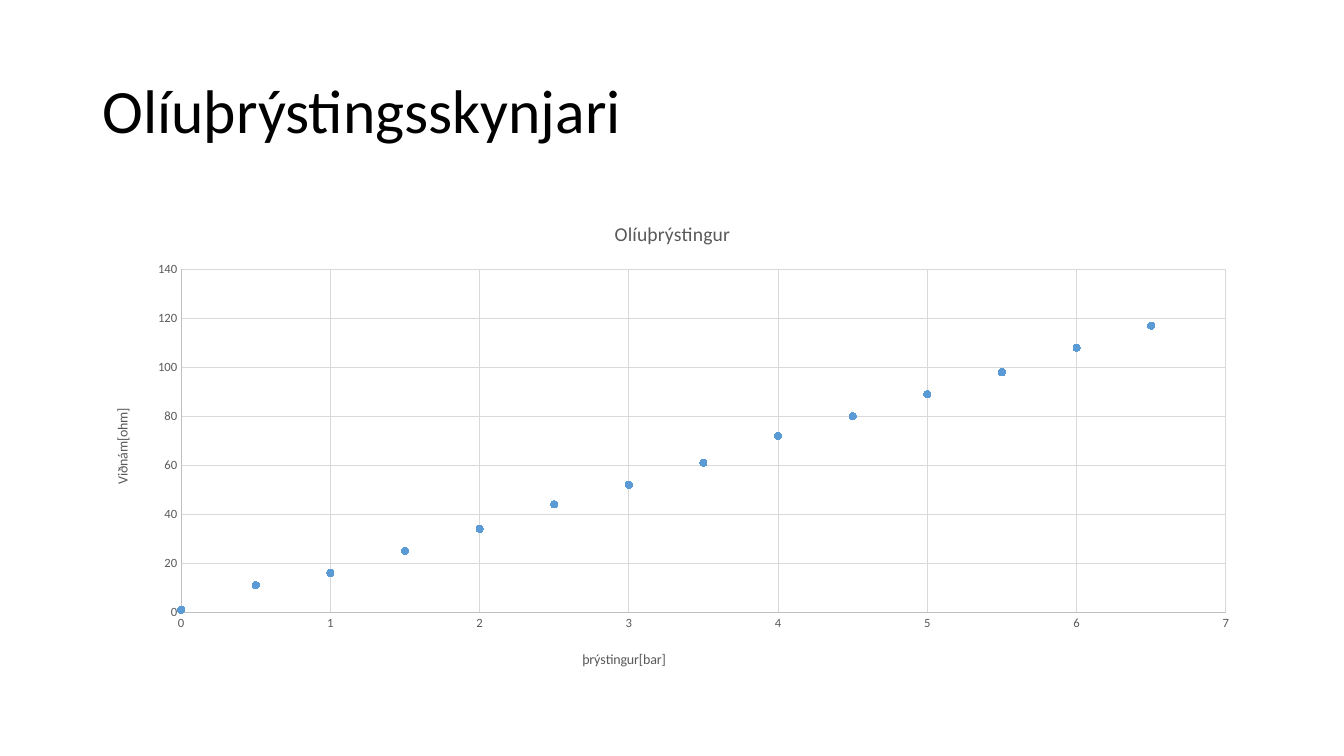
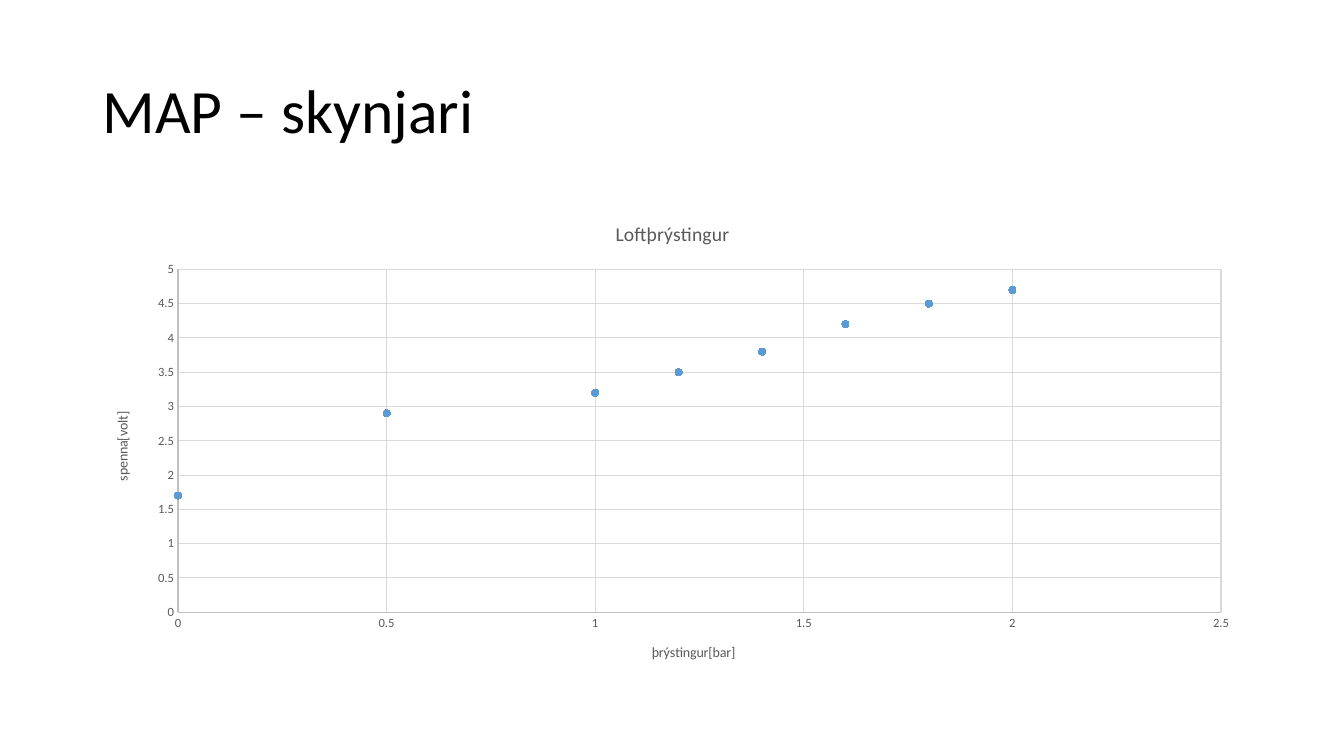
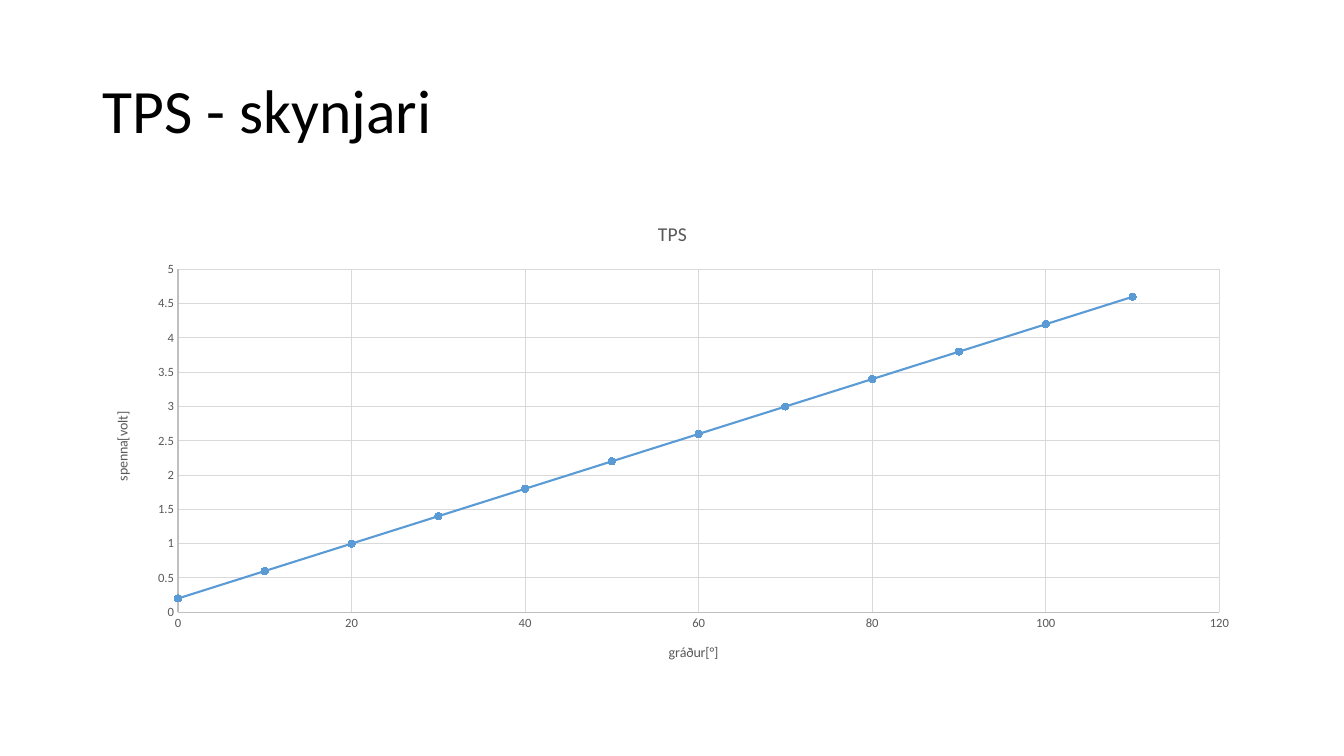
"""Build three slides of sensor readings, each a title over a scatter chart."""
import pptx
import pptx.chart.data
import pptx.dml.color
import pptx.enum.chart
import pptx.enum.text
import pptx.oxml
import pptx.oxml.ns
import pptx.util
from pptx.util import Inches

BLACK = pptx.dml.color.RGBColor(0x00, 0x00, 0x00)
GREY = pptx.dml.color.RGBColor(0x59, 0x59, 0x59)
EDGE = pptx.dml.color.RGBColor(0xBF, 0xBF, 0xBF)
GRID = pptx.dml.color.RGBColor(0xD9, 0xD9, 0xD9)
BLUE = pptx.dml.color.RGBColor(0x5B, 0x9B, 0xD5)
FACE = "Calibri"
LEFT, WIDE = Inches(0.92), Inches(11.5)
KIND = pptx.enum.chart.XL_CHART_TYPE


class Deck:
    def __init__(self):
        self.file = pptx.Presentation()
        self.file.slide_width = Inches(13.33)
        self.file.slide_height = Inches(7.5)
        self.slide = None

    def font(self, font, size, color):
        font.name = FACE
        font.size = pptx.util.Pt(size)
        font.bold = False
        font.color.rgb = color

    def line(self, form, color, width=0.75):
        form.line.color.rgb = color
        form.line.width = pptx.util.Pt(width)

    def page(self, title):
        self.slide = self.file.slides.add_slide(self.file.slide_layouts[6])
        box = self.slide.shapes.add_textbox(LEFT, Inches(0.4), WIDE, Inches(1.45))
        frame = box.text_frame
        frame.word_wrap = True
        frame.vertical_anchor = pptx.enum.text.MSO_ANCHOR.MIDDLE
        frame.text = title
        frame.paragraphs[0].line_spacing = 0.9
        self.font(frame.paragraphs[0].runs[0].font, 44, BLACK)

    def label(self, owner, text, size, turn=0, place=None):
        owner.has_title = True
        title = owner.chart_title if hasattr(owner, "chart_title") else owner.axis_title
        frame = title.text_frame
        frame.text = text
        self.font(frame.paragraphs[0].runs[0].font, size, GREY)
        body = frame._txBody.find(pptx.oxml.ns.qn("a:bodyPr"))
        body.set("rot", str(turn * 60000))
        if place:
            self.move(title._element, *place)

    def move(self, title, left, top):
        for old in title.findall(pptx.oxml.ns.qn("c:layout")):
            title.remove(old)
        title.find(pptx.oxml.ns.qn("c:tx")).addnext(pptx.oxml.parse_xml(
            f'<c:layout {pptx.oxml.ns.nsdecls("c")}><c:manualLayout>'
            '<c:xMode val="edge"/><c:yMode val="edge"/>'
            f'<c:x val="{left}"/><c:y val="{top}"/></c:manualLayout></c:layout>'))

    def axis(self, axis, text, top, step, turn=0, place=None):
        axis.minimum_scale, axis.maximum_scale, axis.major_unit = 0, top, step
        axis.major_tick_mark = axis.minor_tick_mark = pptx.enum.chart.XL_TICK_MARK.NONE
        axis.has_major_gridlines = True
        self.line(axis.major_gridlines.format, GRID)
        self.line(axis.format, EDGE)
        self.font(axis.tick_labels.font, 9, GREY)
        self.label(axis, text, 10, turn, place)

    def chart(self, title, across, upright, points, smooth=False, place=None):
        data = pptx.chart.data.XyChartData()
        row = data.add_series("Series 1")
        for x, y in points:
            row.add_data_point(x, y)
        kind = KIND.XY_SCATTER_SMOOTH if smooth else KIND.XY_SCATTER
        chart = self.slide.shapes.add_chart(
            kind, LEFT, Inches(2), WIDE, Inches(4.76), data).chart
        self.font(chart.font, 10, BLACK)
        chart.has_legend = False
        self.label(chart, title, 14)
        self.axis(chart.category_axis, *across, place=place)
        self.axis(chart.value_axis, *upright, turn=-90)
        plot = chart.plots[0]
        plot.vary_by_categories = False
        self.trace(plot.series[0], smooth)

    def trace(self, series, smooth):
        curve = series._element.find(pptx.oxml.ns.qn("c:smooth"))
        curve.set("val", str(int(smooth)))
        if smooth:
            self.line(series.format, BLUE, 1.5)
        else:
            series.format.line.fill.background()
        mark = series.marker
        mark.style = pptx.enum.chart.XL_MARKER_STYLE.CIRCLE
        mark.size = 5
        mark.format.fill.solid()
        mark.format.fill.fore_color.rgb = BLUE
        self.line(mark.format, BLUE)


def main():
    deck = Deck()
    volts = ("spenna[volt]", 5, 0.5)

    deck.page("Olíuþrýstingsskynjari")
    ohms = [1, 11, 16, 25, 34, 44, 52, 61, 72, 80, 89, 98, 108, 117]
    deck.chart("Olíuþrýstingur", ("þrýstingur[bar]", 7, 1), ("Viðnám[ohm]", 140, 20),
               [(i / 2, ohm) for i, ohm in enumerate(ohms)], place=(0.42, 0.93))

    deck.page("MAP – skynjari")
    bars = [0, 0.5, 1, 1.2, 1.4, 1.6, 1.8, 2]
    deck.chart("Loftþrýstingur", ("þrýstingur[bar]", 2.5, 0.5), volts,
               zip(bars, [1.7, 2.9, 3.2, 3.5, 3.8, 4.2, 4.5, 4.7]))

    deck.page("TPS - skynjari")
    steps = [0.2, 0.6, 1, 1.4, 1.8, 2.2, 2.6, 3, 3.4, 3.8, 4.2, 4.6]
    deck.chart("TPS", ("gráður[°]", 120, 20), volts,
               [(i * 10, volt) for i, volt in enumerate(steps)], smooth=True)

    deck.file.save("out.pptx")


if __name__ == "__main__":
    main()
